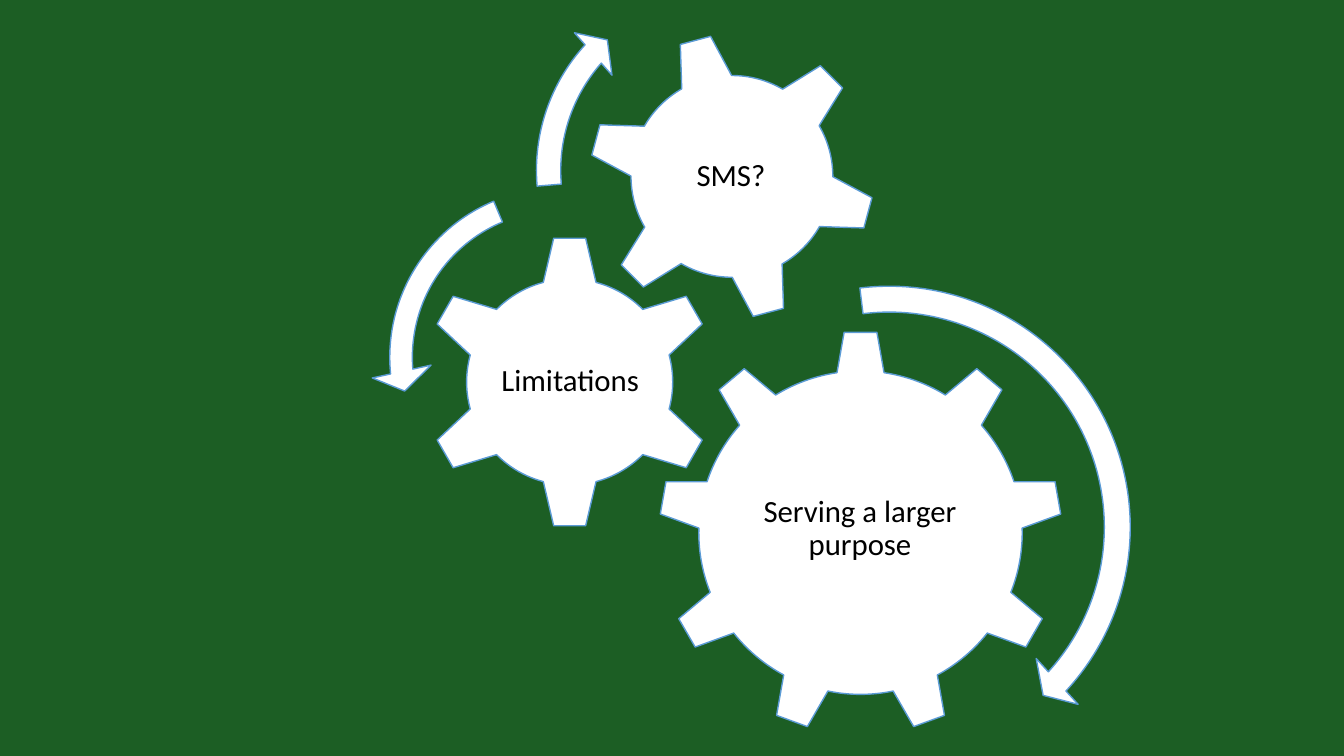
from pptx import Presentation
from pptx import util as u
from pptx.dml.color import RGBColor
from pptx.enum import shapes, text

GREEN = RGBColor(0x1C, 0x5E, 0x24)
WHITE = RGBColor(0xFF, 0xFF, 0xFF)
BLUE = RGBColor(0x5B, 0x9B, 0xD5)
BLACK = RGBColor(0, 0, 0)
KIND = shapes.MSO_SHAPE

GEARS = [
    (KIND.GEAR_9, (6.53, 3.28), 4.01, 0, "Serving a larger purpose", (7.33, 4.22, 2.4, 2.06)),
    (KIND.GEAR_6, (4.19, 2.33), 2.92, 0, "Limitations", (4.93, 3.07, 1.45, 1.44)),
    (KIND.GEAR_6, (5.83, 0.32), 2.86, 345, "SMS?", (6.45, 0.95, 1.6, 1.6)),
]
ARROWS = [
    (KIND.CIRCULAR_ARROW, (6.25, 2.66), 5.14, (0.05, 2.99, 25.55, 157.8, 0.06)),
    (KIND.LEFT_CIRCULAR_ARROW, (3.68, 1.68), 3.73, (0.06, 4.3, 104.89, 148.38, 0.08)),
    (KIND.CIRCULAR_ARROW, (5.16, -0.32), 4.02, (0.06, 3.94, 133.14, 105.08, 0.07)),
]


class GearSlide:
    """Draws white gears, labels and circular arrows in one group on a green slide."""

    font, size = "Calibri", u.Pt(22)

    def __init__(self, prs):
        self.s = prs.slides.add_slide(prs.slide_layouts[6])
        self.s.background.fill.solid()
        self.s.background.fill.fore_color.rgb = GREEN
        self.group = self.s.shapes.add_group_shape()

    def shape(self, kind, corner, side):
        sp = self.group.shapes.add_shape(kind, *map(u.Inches, (*corner, side, side)))
        sp.shadow.inherit = False
        sp.fill.solid()
        sp.fill.fore_color.rgb = WHITE
        sp.line.color.rgb = BLUE
        sp.line.width = u.Pt(1)
        return sp

    def label(self, words, box):
        tf = self.group.shapes.add_textbox(*map(u.Inches, box)).text_frame
        tf.word_wrap = True
        tf.vertical_anchor = text.MSO_ANCHOR.MIDDLE
        tf.margin_left = tf.margin_right = tf.margin_top = tf.margin_bottom = u.Inches(0.03)
        p = tf.paragraphs[0]
        p.text = words
        p.alignment = text.PP_ALIGN.CENTER
        p.line_spacing = 0.9
        p.font.name, p.font.size = self.font, self.size
        p.font.color.rgb = BLACK

    def gear(self, kind, corner, side, rotation, words, box):
        self.shape(kind, corner, side).rotation = rotation
        self.label(words, box)

    def arrow(self, kind, corner, side, adjustments):
        sp = self.shape(kind, corner, side)
        for i, value in enumerate(adjustments):
            sp.adjustments[i] = value


def main():
    prs = Presentation()
    prs.slide_width, prs.slide_height = u.Inches(13.33), u.Inches(7.5)
    slide = GearSlide(prs)
    for gear in GEARS:
        slide.gear(*gear)
    for arrow in ARROWS:
        slide.arrow(*arrow)
    prs.save("out.pptx")


if __name__ == "__main__":
    main()
